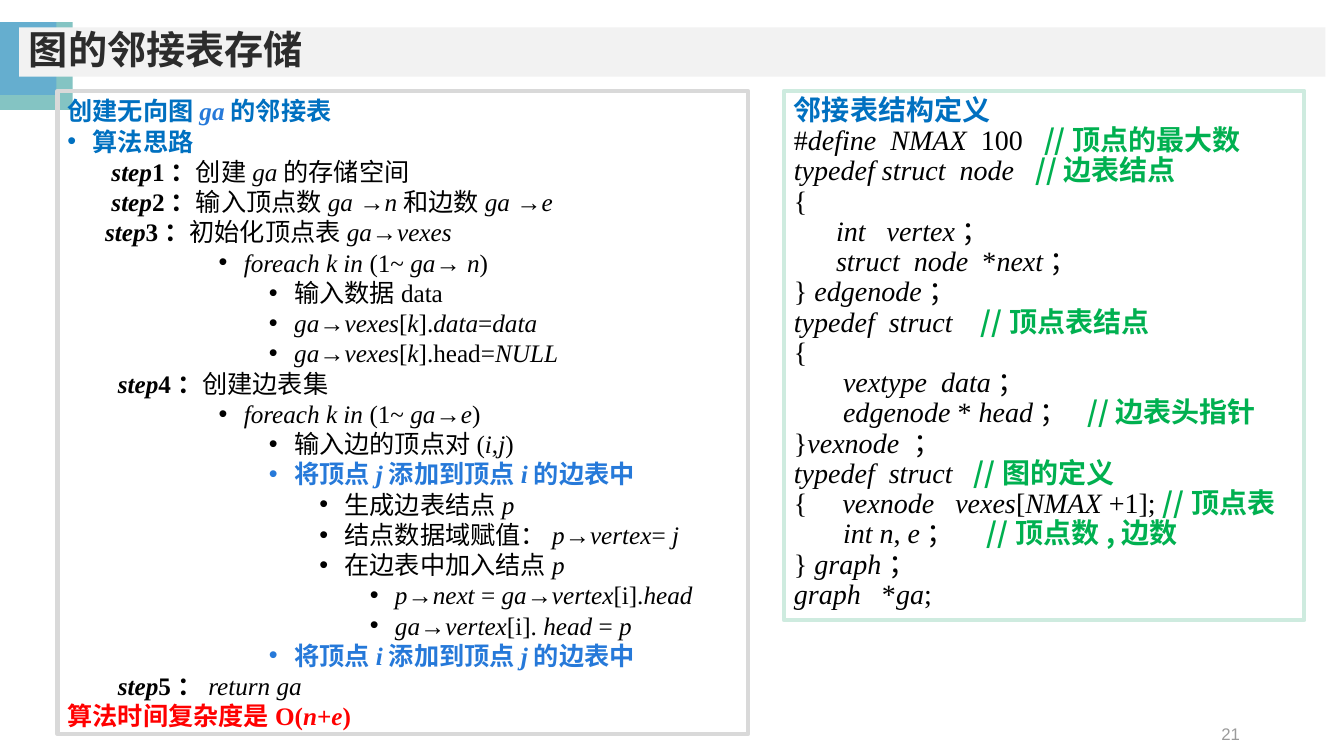
from lxml import etree
from pptx import Presentation
from pptx.dml.color import RGBColor
from pptx.enum.shapes import MSO_SHAPE
from pptx.enum.text import MSO_ANCHOR, PP_ALIGN
from pptx.oxml.ns import qn
from pptx.util import Cm, Pt

RECT = MSO_SHAPE.RECTANGLE
TOP, MIDDLE = MSO_ANCHOR.TOP, MSO_ANCHOR.MIDDLE
LEFT, RIGHT, JUSTIFY = PP_ALIGN.LEFT, PP_ALIGN.RIGHT, PP_ALIGN.JUSTIFY

# Markup: _italic_, |bold|; in the code panel everything from // on is a comment.
TITLE = "图的邻接表存储"
PAGE = "21"

CODE_HEADING = "邻接表结构定义"
CODE = [
    "#_define  NMAX_  100   //顶点的最大数",
    "_typedef struct  node_   //边表结点",
    "{",
    "      _int   vertex_；",
    "      _struct  node_  *_next_；",
    "} _edgenode_；",
    "_typedef  struct_    //顶点表结点",
    "{",
    "       _vextype  data_；",
    "       _edgenode_ * _head_；  //边表头指针",
    "}_vexnode_ ；",
    "_typedef  struct_   //图的定义",
    "{     _vexnode   vexes_[_NMAX_ +1]; //顶点表",
    "       _int n_, _e_；    //顶点数,边数",
    "} _graph_；",
    "_graph_   *_ga_;",
]

# (indent in cm, or bullet level as "•n"; style; text)
STEPS = [
    (0, "heading", "创建无向图_ga_的邻接表"),
    ("•0", "heading", "算法思路"),
    (1.11, "body", "|_step_1：|创建_ga_的存储空间"),
    (1.11, "body", "|_step_2：|输入顶点数_ga _→_n_和边数_ga _→_e_"),
    (0.95, "body", "|_step_3：|初始化顶点表_ga_→_vexes_"),
    ("•3", "body", "_foreach k in _(1~ _ga_→_ n_)"),
    ("•4", "body", "输入数据data"),
    ("•4", "body", "_ga_→_vexes_[_k_]._data_=_data_"),
    ("•4", "body", "_ga_→_vexes_[_k_].head=_NULL_"),
    (1.27, "body", "|_step_4：|创建边表集"),
    ("•3", "body", "_foreach k in _(1~ _ga_→_e_)"),
    ("•4", "body", "输入边的顶点对(_i_,_j_)"),
    ("•4", "accent", "将顶点_j_添加到顶点_i_的边表中"),
    ("•5", "body", "生成边表结点_p_"),
    ("•5", "body", "结点数据域赋值：_p_→_vertex_=_ j_"),
    ("•5", "body", "在边表中加入结点_p_"),
    ("•6", "body", "_p_→_next _= _ga_→_vertex_[i]._head_"),
    ("•6", "body", "_ga_→_vertex_[i]._ head _= _p_"),
    ("•4", "accent", "将顶点_i_添加到顶点_j_的边表中"),
    (1.27, "body", "|_step_5：|_return ga_"),
    (0, "result", "算法时间复杂度是O(_n_+_e_)"),
]

SANS, SERIF, CJK = "Arial", "Times New Roman", "Noto Sans CJK SC"
THEME = {
    "teal": "84C4C3", "blue": "65AECF", "band": "F2F2F2", "paper": "FFFFFF",
    "code_border": "CEEBDF", "steps_border": "D9D9D9",
    "border": Pt(3), "pitch": Pt(21.6),
    "size": {"title": 28, "code": 20, "steps": 18, "page": 12},
    # style: font, italic font, colour, italic colour, bold
    "style": {
        "title": (SANS, SANS, "2C2C2C", "2C2C2C", True),
        "page": (SANS, SANS, "9B9B9B", "9B9B9B", False),
        "heading": (CJK, SERIF, "0070C0", "2679D9", True),
        "comment": (CJK, CJK, "00B050", "00B050", True),
        "body": (SERIF, SERIF, "000000", "000000", False),
        "accent": (SERIF, SERIF, "2679D9", "2679D9", True),
        "result": (SERIF, SERIF, "FF0000", "FF0000", True),
    },
}
BULLET_STEP, BULLET_HANG = 1.27, 0.635


def rgb(name):
    return RGBColor.from_string(name)


def add_run(p, text, style, size, italic, bold):
    font, italic_font, colour, italic_colour, style_bold = THEME["style"][style]
    r = p.add_run()
    r.text = text
    f = r.font
    f.name = italic_font if italic else font
    f.size = Pt(THEME["size"][size])
    f.bold = bold or style_bold
    f.italic = italic
    f.color.rgb = rgb(italic_colour if italic else colour)
    ea = etree.SubElement(r._r.get_or_add_rPr(), qn("a:ea"))
    ea.set("typeface", CJK)


def add_marked(p, text, style, size):
    """Add text as runs, reading the _italic_ and |bold| marks."""
    bold = False
    italic = False
    for bold_part in text.split("|"):
        for i, part in enumerate(bold_part.split("_")):
            italic = i % 2 == 1
            if part:
                add_run(p, part, style, size, italic, bold)
        bold = not bold


def set_indent(p, place):
    pPr = p._p.get_or_add_pPr()
    if isinstance(place, str):
        left = BULLET_HANG + BULLET_STEP * int(place[1:])
        pPr.set("indent", str(-Cm(BULLET_HANG)))
        etree.SubElement(pPr, qn("a:buFont")).set("typeface", SANS)
        etree.SubElement(pPr, qn("a:buChar")).set("char", place[0])
    else:
        left = place
    pPr.set("marL", str(Cm(left)))


def add_box(s, x, y, w, h, fill=None, border=None, anchor=TOP):
    sp = s.shapes.add_shape(RECT, Cm(x), Cm(y), Cm(w), Cm(h))
    sp.shadow.inherit = False
    if fill:
        sp.fill.solid()
        sp.fill.fore_color.rgb = rgb(THEME[fill])
    else:
        sp.fill.background()
    if border:
        sp.line.color.rgb = rgb(THEME[border])
        sp.line.width = THEME["border"]
    else:
        sp.line.fill.background()
    tf = sp.text_frame
    tf.word_wrap = True
    tf.vertical_anchor = anchor
    return tf


def write(tf, lines, size, align=LEFT, spacing=None):
    """Fill a frame from (place, [(style, text), ...]) lines."""
    for i, (place, parts) in enumerate(lines):
        p = tf.add_paragraph() if i else tf.paragraphs[0]
        p.alignment = align
        if spacing:
            p.line_spacing = spacing
        set_indent(p, place)
        for style, text in parts:
            add_marked(p, text, style, size)


def code_parts(line):
    code, mark, comment = line.partition("//")
    return [("body", code), ("comment", mark + comment)]


def main():
    prs = Presentation()
    prs.slide_width, prs.slide_height = Cm(33.87), Cm(19.05)
    s = prs.slides.add_slide(prs.slide_layouts[6])

    add_box(s, 0, 0.56, 1.83, 2.21, "teal")
    add_box(s, 0, 0.56, 1.42, 1.83, "blue")
    title = add_box(s, 0.48, 0.69, 32.92, 1.24, "band", anchor=MIDDLE)
    write(title, [(0, [("title", TITLE)])], "title", spacing=0.9)

    page = s.shapes.add_textbox(Cm(23.88), Cm(18.01), Cm(7.62), Cm(0.94)).text_frame
    page.word_wrap = True
    page.vertical_anchor = MIDDLE
    write(page, [(0, [("page", PAGE)])], "page", RIGHT)

    code = add_box(s, 19.76, 2.29, 13.11, 13.34, "paper", "code_border")
    lines = [(0, [("heading", CODE_HEADING)])]
    lines += [(0, code_parts(line)) for line in CODE]
    write(code, lines, "code", JUSTIFY, THEME["pitch"])

    steps = add_box(s, 1.45, 2.29, 17.4, 16.21, border="steps_border")
    lines = [(place, [(style, text)]) for place, style, text in STEPS]
    write(steps, lines, "steps", spacing=THEME["pitch"])

    prs.save("out.pptx")


if __name__ == "__main__":
    main()
